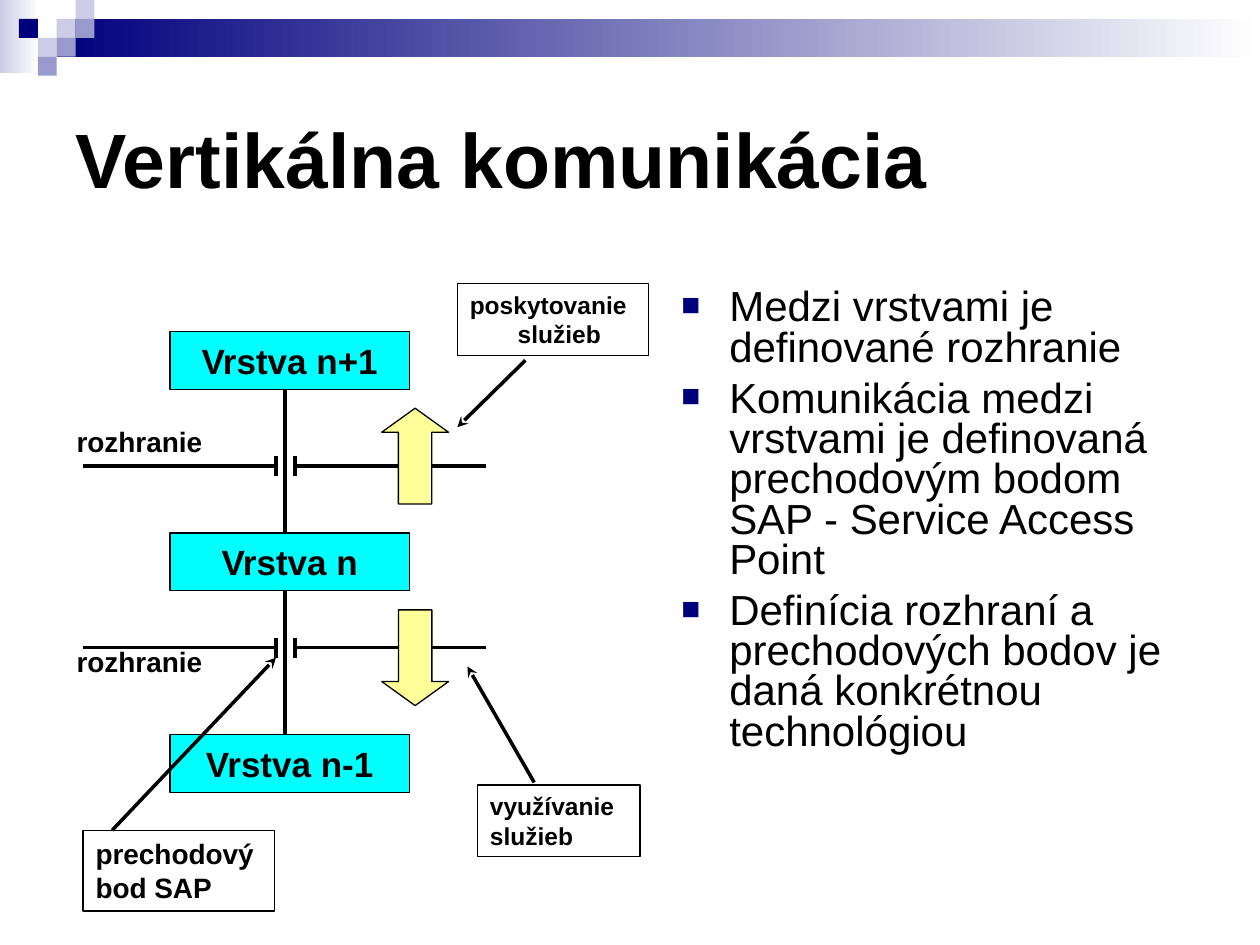
from lxml import etree
from pptx import Presentation
from pptx.dml.color import RGBColor
from pptx.enum.shapes import MSO_CONNECTOR, MSO_SHAPE
from pptx.enum.text import MSO_ANCHOR, MSO_AUTO_SIZE, PP_ALIGN
from pptx.oxml.ns import qn
from pptx.util import Inches, Pt

RECTANGLE, UP_ARROW = MSO_SHAPE.RECTANGLE, MSO_SHAPE.UP_ARROW
STRAIGHT = MSO_CONNECTOR.STRAIGHT
TOP, MIDDLE = MSO_ANCHOR.TOP, MSO_ANCHOR.MIDDLE
LEFT, CENTER = PP_ALIGN.LEFT, PP_ALIGN.CENTER
NO_FIT = MSO_AUTO_SIZE.NONE

BLACK = RGBColor(0x00, 0x00, 0x00)
WHITE = RGBColor(0xFF, 0xFF, 0xFF)
NAVY = RGBColor(0x00, 0x00, 0x7D)
LILAC = RGBColor(0xCC, 0xCC, 0xE6)
VIOLET = RGBColor(0x99, 0x99, 0xCC)
CYAN = RGBColor(0x00, 0xFF, 0xFF)
YELLOW = RGBColor(0xFF, 0xFF, 0x99)

deck = Presentation()
deck.slide_width, deck.slide_height = Inches(10), Inches(7.5)
page = deck.slides.add_slide(deck.slide_layouts[5])


def write_text(box, lines, size, bold=True, align=LEFT, anchor=TOP, hanging=True):
    frame = box.text_frame
    frame.word_wrap = True
    frame.auto_size = NO_FIT
    frame.vertical_anchor = anchor
    frame.text = "\n".join(lines)
    font_format = {"name": "Arial", "size": Pt(size), "bold": bold}
    for para in frame.paragraphs:
        para.alignment = align
        if hanging:
            para._p.get_or_add_pPr().set("marL", str(Inches(0.38)))
            para._p.get_or_add_pPr().set("indent", str(-Inches(0.38)))
        for span in para.runs:
            for name, value in font_format.items():
                setattr(span.font, name, value)
            span.font.color.rgb = BLACK


def draw_line(x1, y1, x2, y2, arrow=False):
    line = page.shapes.add_connector(STRAIGHT, Inches(x1), Inches(y1), Inches(x2), Inches(y2))
    line.line.color.rgb = BLACK
    line.line.width = Pt(2)
    if arrow:
        etree.SubElement(line.line._get_or_add_ln(), qn("a:tailEnd"), type="stealth")
    etree.SubElement(line._element.spPr, qn("a:effectLst"))


for left, top, width, height, color in [
    (0, 0, 0.31, 0.58, LILAC),
    (0.45, 0.15, 9.55, 0.3, NAVY),
]:
    band = page.shapes.add_shape(RECTANGLE, Inches(left), Inches(top), Inches(width), Inches(height))
    band.shadow.inherit = False
    band.line.fill.background()
    band.fill.gradient()
    band.fill.gradient_angle = 0
    for stop, stop_color in zip(band.fill.gradient_stops, (color, WHITE)):
        stop.color.rgb = stop_color

for column, row, color in [
    (3, 1, LILAC), (4, 0, LILAC), (4, 1, VIOLET), (2, 2, LILAC),
    (1, 1, NAVY), (3, 2, VIOLET), (2, 3, VIOLET),
]:
    tile = page.shapes.add_shape(
        RECTANGLE, Inches(0.15 * column), Inches(0.15 * row), Inches(0.15), Inches(0.15))
    tile.shadow.inherit = False
    tile.line.fill.background()
    tile.fill.solid()
    tile.fill.fore_color.rgb = color

title = page.shapes.title
title.left, title.top, title.width, title.height = Inches(0.5), Inches(0.5), Inches(9), Inches(1.5)
write_text(title, ["Vertikálna komunikácia"], 44, anchor=MIDDLE, hanging=False)

body = page.shapes.add_textbox(Inches(5.31), Inches(2.25), Inches(4.2), Inches(4.08))
write_text(body, [
    "Medzi vrstvami je definované rozhranie",
    "Komunikácia medzi vrstvami je definovaná prechodovým bodom SAP - Service Access Point",
    "Definícia rozhraní a prechodových bodov je daná konkrétnou technológiou",
], 24, bold=False)
for number, para in enumerate(body.text_frame.paragraphs):
    para.line_spacing = 0.8
    if number:
        para.space_before = Pt(6)
    properties = para._p.get_or_add_pPr()
    bullet_color = etree.SubElement(properties, qn("a:buClr"))
    etree.SubElement(bullet_color, qn("a:srgbClr"), val=str(NAVY))
    etree.SubElement(properties, qn("a:buSzPct"), val="75000")
    etree.SubElement(properties, qn("a:buFont"), typeface="Arial")
    etree.SubElement(properties, qn("a:buChar"), char="■")

for number, name in enumerate(["Vrstva n+1", "Vrstva n", "Vrstva n-1"]):
    layer = page.shapes.add_shape(
        RECTANGLE, Inches(1.35), Inches(2.63 + 1.6 * number), Inches(1.9), Inches(0.46))
    layer.shadow.inherit = False
    layer.fill.solid()
    layer.fill.fore_color.rgb = CYAN
    layer.line.color.rgb = BLACK
    layer.line.width = Pt(0.75)
    write_text(layer, [name], 20, align=CENTER, anchor=MIDDLE)

for y in (3.7, 5.14):
    for outer, inner in ((0.66, 2.19), (3.86, 2.34)):
        draw_line(outer, y, inner, y)
        draw_line(inner, y - 0.08, inner, y + 0.08)

for top, rotation in ((3.24, 0), (4.84, 180)):
    service = page.shapes.add_shape(UP_ARROW, Inches(3.03), Inches(top), Inches(0.53), Inches(0.76))
    service.shadow.inherit = False
    service.rotation = rotation
    service.adjustments[1] = 0.36
    service.fill.solid()
    service.fill.fore_color.rgb = YELLOW
    service.line.color.rgb = BLACK
    service.line.width = Pt(0.75)

for top in (3.32, 5.07):
    label = page.shapes.add_textbox(Inches(0.51), Inches(top), Inches(2.06), Inches(0.37))
    write_text(label, ["rozhranie"], 16)

for left, top, width, height, lines, size in [
    (3.63, 2.25, 1.52, 0.57, ["poskytovanie služieb"], 14),
    (3.79, 6.23, 1.29, 0.57, ["využívanie", "služieb"], 14),
    (0.66, 6.59, 1.52, 0.64, ["prechodový", "bod SAP"], 16),
]:
    note = page.shapes.add_textbox(Inches(left), Inches(top), Inches(width), Inches(height))
    note.line.color.rgb = BLACK
    note.line.width = Pt(0.75)
    write_text(note, lines, size)

for top in (3.09, 4.69):
    draw_line(2.26, top, 2.26, top + 1.14)
for ends in ((4.24, 6.21, 3.71, 5.29), (4.17, 2.86, 3.63, 3.39), (0.89, 6.59, 2.19, 5.22)):
    draw_line(*ends, arrow=True)

deck.save("out.pptx")
